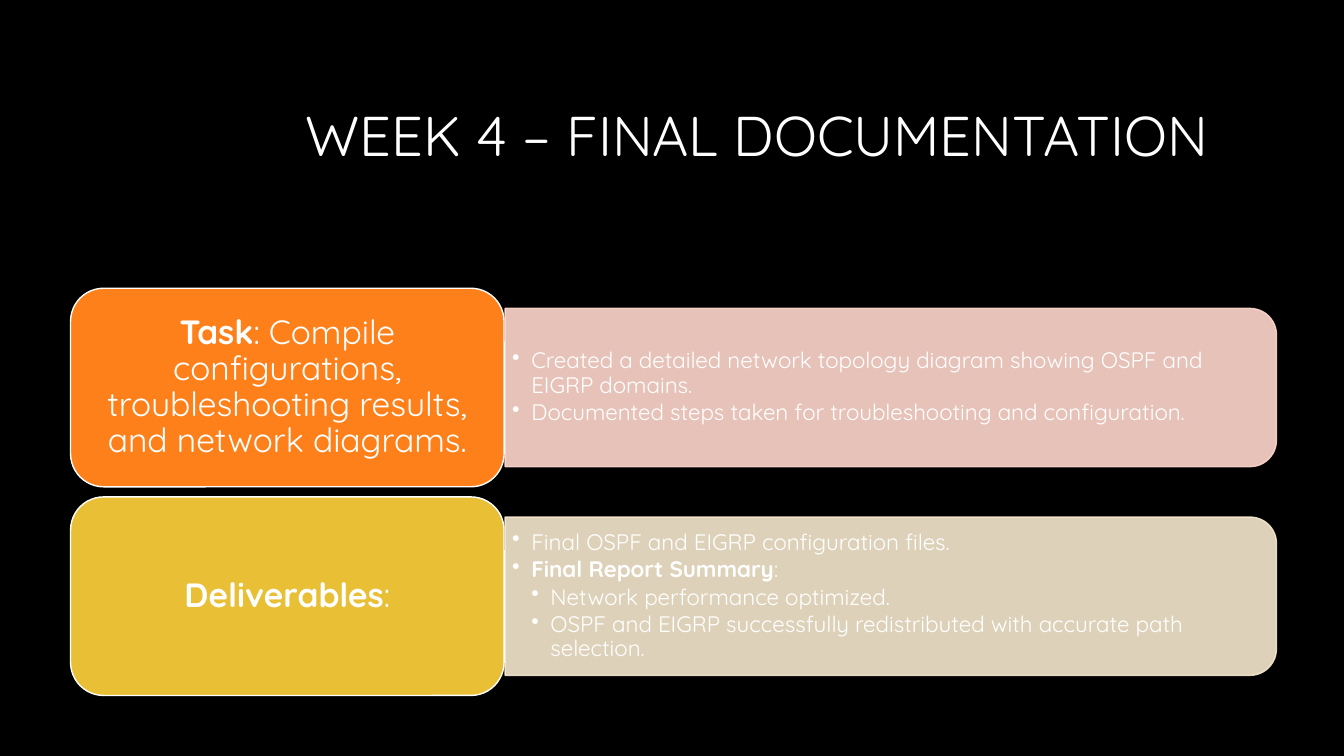
from lxml import etree
from pptx import Presentation
from pptx.dml.color import RGBColor
from pptx.enum import shapes, text
from pptx.oxml import ns
from pptx.util import Inches, Pt

TITLE = "WEEK 4 – FINAL DOCUMENTATION"

BLACK = RGBColor(0x00, 0x00, 0x00)
WHITE = RGBColor(0xFF, 0xFF, 0xFF)
ORANGE = RGBColor(0xFE, 0x80, 0x1A)
PINK = RGBColor(0xFF, 0xD8, 0xCD)
GOLD = RGBColor(0xE9, 0xBF, 0x35)
CREAM = RGBColor(0xF7, 0xE8, 0xCE)

# Each line of text is (level, bold part, regular part).
SECTIONS = [
    {
        "heading": (0, "Task", ": Compile configurations, troubleshooting results, and network diagrams."),
        "details": [
            (1, "", "Created a detailed network topology diagram showing OSPF and EIGRP domains."),
            (1, "", "Documented steps taken for troubleshooting and configuration."),
        ],
        "card": ORANGE,
        "panel": PINK,
    },
    {
        "heading": (0, "Deliverables", ":"),
        "details": [
            (1, "", "Final OSPF and EIGRP configuration files."),
            (1, "Final Report Summary", ":"),
            (2, "", "Network performance optimized."),
            (2, "", "OSPF and EIGRP successfully redistributed with accurate path selection."),
        ],
        "card": GOLD,
        "panel": CREAM,
    },
]

FONT = "Quicksand"
LEFT, TOP, PITCH = 0.7, 2.86, 2.07
CARD_W, CARD_H = 4.3, 1.97
PANEL_W, PANEL_H = 7.65, 1.57
CARD_PAD = 0.1
INDENT = 0.19


def add_block(slide, kind, box, fill, line, opacity=100):
    """Add a filled shape with a 1 pt outline, both at the given opacity in percent."""
    block = slide.shapes.add_shape(kind, *map(Inches, box))
    block.shadow.inherit = False
    block.fill.solid()
    block.fill.fore_color.rgb = fill
    block.line.color.rgb = line
    block.line.width = Pt(1)
    if opacity < 100:
        for color in block._element.spPr.iter(ns.qn("a:srgbClr")):
            etree.SubElement(color, ns.qn("a:alpha"), val=str(opacity * 1000))
    return block


def add_text(slide, box, lines, size, align, anchor, space_after=0, margins=(0.1, 0.05)):
    """Add a text box; lines at level 1 and deeper get bullets."""
    frame = slide.shapes.add_textbox(*map(Inches, box)).text_frame
    frame.word_wrap = True
    frame.vertical_anchor = anchor
    frame.margin_left = frame.margin_right = Inches(margins[0])
    frame.margin_top = frame.margin_bottom = Inches(margins[1])
    for i, (level, bold, regular) in enumerate(lines):
        paragraph = frame.add_paragraph() if i else frame.paragraphs[0]
        paragraph.alignment = align
        paragraph.line_spacing = 0.9
        paragraph.space_after = Pt(space_after)
        if level:
            paragraph.level = level
            props = paragraph._p.get_or_add_pPr()
            props.set("marL", str(Inches(INDENT * level)))
            props.set("indent", str(Inches(-INDENT)))
            etree.SubElement(props, ns.qn("a:buChar"), char="•")
        for words, is_bold in ((bold, True), (regular, False)):
            if words:
                run = paragraph.add_run()
                run.text = words
                run.font.name = FONT
                run.font.size = Pt(size)
                run.font.bold = is_bold
                run.font.color.rgb = WHITE


def add_section(slide, section, top):
    panel_left = LEFT + CARD_W + 0.01
    middle = top + CARD_H / 2

    # The panel is a tall shape turned a quarter so its rounded end faces right.
    panel_box = (panel_left + (PANEL_W - PANEL_H) / 2, middle - PANEL_W / 2, PANEL_H, PANEL_W)
    panel = add_block(slide, shapes.MSO_SHAPE.ROUND_2_SAME_RECTANGLE, panel_box,
                      section["panel"], section["panel"], opacity=90)
    panel.rotation = 90
    add_text(slide, (panel_left, middle - 0.71, 7.57, 1.42), section["details"], 16,
             text.PP_ALIGN.LEFT, text.MSO_ANCHOR.MIDDLE, 2.4, (0.07, 0.03))

    add_block(slide, shapes.MSO_SHAPE.ROUNDED_RECTANGLE, (LEFT, top, CARD_W, CARD_H),
              section["card"], WHITE)
    heading_box = (LEFT + CARD_PAD, top + CARD_PAD, CARD_W - 2 * CARD_PAD, CARD_H - 2 * CARD_PAD)
    add_text(slide, heading_box, [section["heading"]], 24,
             text.PP_ALIGN.CENTER, text.MSO_ANCHOR.MIDDLE)


def main():
    deck = Presentation()
    deck.slide_width, deck.slide_height = Inches(13.33), Inches(7.5)
    slide = deck.slides.add_slide(deck.slide_layouts[6])
    slide.background.fill.solid()
    slide.background.fill.fore_color.rgb = BLACK

    add_text(slide, (2.66, 1.02, 9.42, 1.41), [(0, "", TITLE)], 40,
             text.PP_ALIGN.RIGHT, text.MSO_ANCHOR.TOP)
    for row, section in enumerate(SECTIONS):
        add_section(slide, section, TOP + row * PITCH)
    deck.save("out.pptx")


if __name__ == "__main__":
    main()
